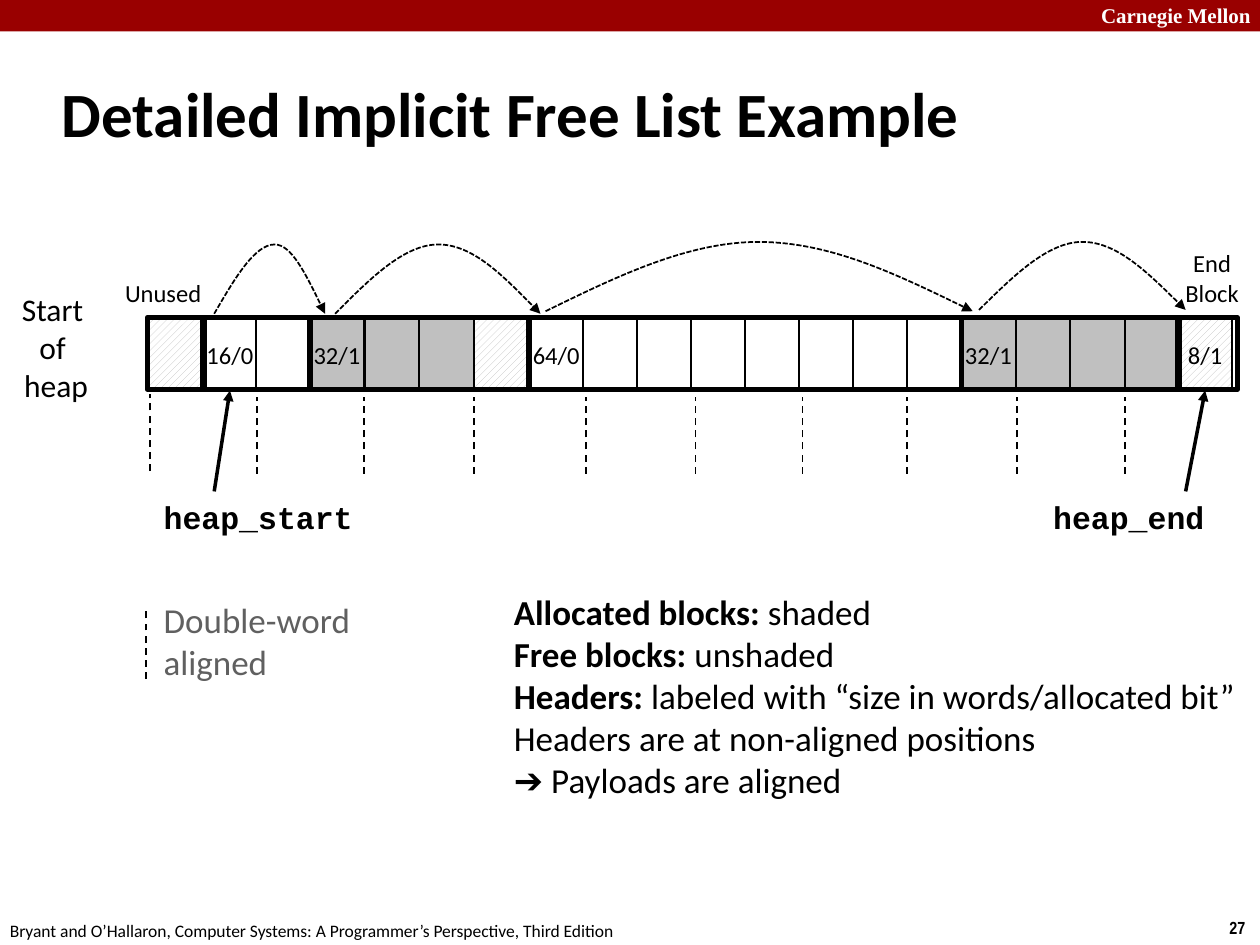
"""Build the slide on a detailed implicit free list with its heap diagram."""
import pptx
import pptx.dml.color
import pptx.enum.dml
import pptx.enum.shapes
import pptx.enum.text
import pptx.oxml.ns
import pptx.oxml.xmlchemy
import pptx.util

Inches, Pt = pptx.util.Inches, pptx.util.Pt
RGBColor = pptx.dml.color.RGBColor
Align, Anchor = pptx.enum.text.PP_ALIGN, pptx.enum.text.MSO_ANCHOR
AutoSize = pptx.enum.text.MSO_AUTO_SIZE
Dash = pptx.enum.dml.MSO_LINE
RECTANGLE = pptx.enum.shapes.MSO_SHAPE.RECTANGLE
STRAIGHT = pptx.enum.shapes.MSO_CONNECTOR.STRAIGHT

BLACK = RGBColor(0, 0, 0)
WHITE = RGBColor(255, 255, 255)
CRIMSON = RGBColor(0x99, 0, 0)
SHADE = RGBColor(0xC0, 0xC0, 0xC0)
GREY = RGBColor(0x60, 0x60, 0x60)

TITLE = "Detailed Implicit Free List Example"
CELL_TOP, CELL_WIDTH, CELL_HEIGHT = 2.53, 0.43, 0.57

# Each word is f(ree), a(llocated) or h(atched).
BLOCKS = [
    ("Unused", 1.17, 0.45, "h", ""),
    ("First free", 1.61, 0.85, "ff", "16/0"),
    ("First allocated", 2.46, 1.74, "aaah", "32/1"),
    ("Second free", 4.2, 3.43, "ffffffff", "64/0"),
    ("Second allocated", 7.63, 1.73, "aaaa", "32/1"),
    ("End", 9.35, 0.47, "h", "8/1"),
]
ARCS = [
    (1.7, 2.18, 2.58, 1.94, 2.49),
    (2.66, 3.48, 4.29, 1.94, 2.49),
    (4.33, 6.02, 7.72, 1.92, 2.47),
    (7.77, 8.59, 9.41, 1.92, 2.46),
]
ALIGNMENT_MARKS = [(1.19, 3.74)] + [
    (x, 3.76) for x in (2.04, 2.89, 3.76, 4.65, 5.52, 6.37, 7.2, 8.07, 8.93)
]
POINTERS = [(1.7, "First free"), (9.41, "End")]

LABELS = [
    (["Carnegie Mellon"], (8.64, -0.03, 1.43, 0.3),
     dict(size=12, face="Times New Roman", color=WHITE, bold=True, wrap=True)),
    (["27"], (9.66, 7.23, 0.34, 0.27), dict(size=10, face="Arial Narrow", bold=True)),
    (["Bryant and O’Hallaron, Computer Systems: A Programmer’s Perspective, Third Edition"],
     (-0.02, 7.25, 5.08, 0.27), dict(size=10)),
    (["Start ", "of ", "heap"], (0.07, 2.25, 0.75, 1.01),
     dict(size=18, align=Align.CENTER, anchor=Anchor.MIDDLE)),
    (["Double-word", "aligned"], (1.2, 4.7, 2.04, 0.77),
     dict(size=20, color=GREY, anchor=Anchor.MIDDLE, wrap=True)),
    (["End", "Block"], (9.3, 1.92, 0.64, 0.57),
     dict(size=14, align=Align.CENTER, anchor=Anchor.MIDDLE)),
    (["Unused"], (0.89, 2.15, 0.81, 0.34),
     dict(size=14, align=Align.CENTER, anchor=Anchor.MIDDLE)),
    (["heap_start"], (1.2, 3.9, 1.71, 0.4), dict(size=18, face="Courier New", bold=True)),
    (["heap_end"], (8.26, 3.9, 1.41, 0.4), dict(size=18, face="Courier New", bold=True)),
    ([("Allocated blocks: ", "shaded"),
      ("Free blocks: ", "unshaded"),
      ("Headers: ", "labeled with “size in words/allocated bit”"),
      "Headers are at non-aligned positions",
      "➔ Payloads are aligned"], (3.98, 4.64, 5.98, 1.78), dict(size=20)),
]


def write(frame, lines, size, face="Calibri", color=BLACK, bold=False,
          align=Align.LEFT, anchor=Anchor.TOP, wrap=False):
    frame.word_wrap = wrap
    frame.vertical_anchor = anchor
    for number, line in enumerate(lines):
        paragraph = frame.add_paragraph() if number else frame.paragraphs[0]
        paragraph.alignment = align
        font = paragraph.font
        font.size, font.name, font.bold = Pt(size), face, bold
        font.color.rgb = color
        if isinstance(line, str):
            paragraph.add_run().text = line
        else:
            term, meaning = line
            term_run = paragraph.add_run()
            term_run.text, term_run.font.bold = term, True
            paragraph.add_run().text = meaning


def add_label(slide, lines, box, style):
    frame = slide.shapes.add_textbox(*map(Inches, box)).text_frame
    frame.auto_size = AutoSize.SHAPE_TO_FIT_TEXT
    write(frame, lines, **style)


def style_line(line, width, dash=None, arrow=False):
    line.color.rgb = BLACK
    line.width = Pt(width)
    if dash:
        line.dash_style = dash
    if arrow:
        tail = pptx.oxml.xmlchemy.OxmlElement("a:tailEnd")
        tail.set("type", "triangle")
        line._get_or_add_ln().append(tail)


def add_box(slide, left, top, width, height):
    box = slide.shapes.add_shape(RECTANGLE, *map(Inches, (left, top, width, height)))
    box.shadow.inherit = False
    return box


def add_line(slide, start, end, width, **style):
    line = slide.shapes.add_connector(STRAIGHT, *map(Inches, start + end))
    line._element.spPr.append(pptx.oxml.xmlchemy.OxmlElement("a:effectLst"))
    style_line(line.line, width, **style)
    return line


def fill_cell(fill, kind):
    if kind == "h":
        fill.patterned()
        fill.pattern = pptx.enum.dml.MSO_PATTERN.WIDE_UPWARD_DIAGONAL
        fill.fore_color.rgb, fill.back_color.rgb = SHADE, WHITE
    else:
        fill.solid()
        fill.fore_color.rgb = SHADE if kind == "a" else WHITE


def add_arc(slide, left, peak, right, top, base):
    middle = (top + base) / 2
    rise, fall = (peak - left) / 3, (right - peak) / 3
    points = [(left + rise, middle), (left + 2 * rise, top), (peak, top),
              (peak + fall, top), (peak + 2 * fall, middle), (right, base)]
    builder = slide.shapes.build_freeform(Inches(left), Inches(base))
    builder.add_line_segments([(Inches(x), Inches(y)) for x, y in points], close=False)
    arc = builder.convert_to_shape()
    segments = list(arc._element.iter(pptx.oxml.ns.qn("a:lnTo")))
    for first in range(0, len(segments), 3):
        curve = pptx.oxml.xmlchemy.OxmlElement("a:cubicBezTo")
        segments[first].addprevious(curve)
        for segment in segments[first:first + 3]:
            curve.append(segment[0])
            segment.getparent().remove(segment)
    arc.shadow.inherit = False
    arc.fill.background()
    style_line(arc.line, 1, Dash.SQUARE_DOT, arrow=True)


def add_heap(slide):
    headers = {}
    for name, left, width, words, header in BLOCKS:
        pitch = width / len(words)
        for index, kind in enumerate(words):
            cell = add_box(slide, left + index * pitch, CELL_TOP, CELL_WIDTH, CELL_HEIGHT)
            fill_cell(cell.fill, kind)
            style_line(cell.line, 1)
            if index == 0:
                headers[name] = cell
                if header:
                    write(cell.text_frame, [header], 14, align=Align.CENTER,
                          anchor=Anchor.MIDDLE)
    for name, left, width, words, header in BLOCKS:
        outline = add_box(slide, left, CELL_TOP - 0.01, width, CELL_HEIGHT)
        outline.fill.background()
        style_line(outline.line, 3)
    return headers


def main():
    deck = pptx.Presentation()
    deck.slide_width, deck.slide_height = Inches(10), Inches(7.5)
    slide = deck.slides.add_slide(deck.slide_layouts[5])

    banner = add_box(slide, 0, 0, 10, 0.25)
    banner.fill.solid()
    banner.fill.fore_color.rgb = CRIMSON
    banner.line.fill.background()

    title = slide.shapes.title
    title.left, title.top, title.width, title.height = map(Inches, (0.39, 0.48, 8.3, 0.83))
    title.text_frame.auto_size = AutoSize.NONE
    write(title.text_frame, [TITLE], 36, bold=True, anchor=Anchor.MIDDLE, wrap=True)

    headers = add_heap(slide)
    for arc in ARCS:
        add_arc(slide, *arc)
    for x, bottom in ALIGNMENT_MARKS:
        add_line(slide, (x, bottom), (x, bottom - 0.61), 1, dash=Dash.DASH)
    add_line(slide, (1.16, 5.39), (1.16, 4.84), 1, dash=Dash.DASH)
    for x, block in POINTERS:
        pointer = add_line(slide, (x, 3.9), (x + 0.13, 3.1), 2, arrow=True)
        pointer.end_connect(headers[block], 2)
    for label in LABELS:
        add_label(slide, *label)

    deck.save("out.pptx")


if __name__ == "__main__":
    main()
